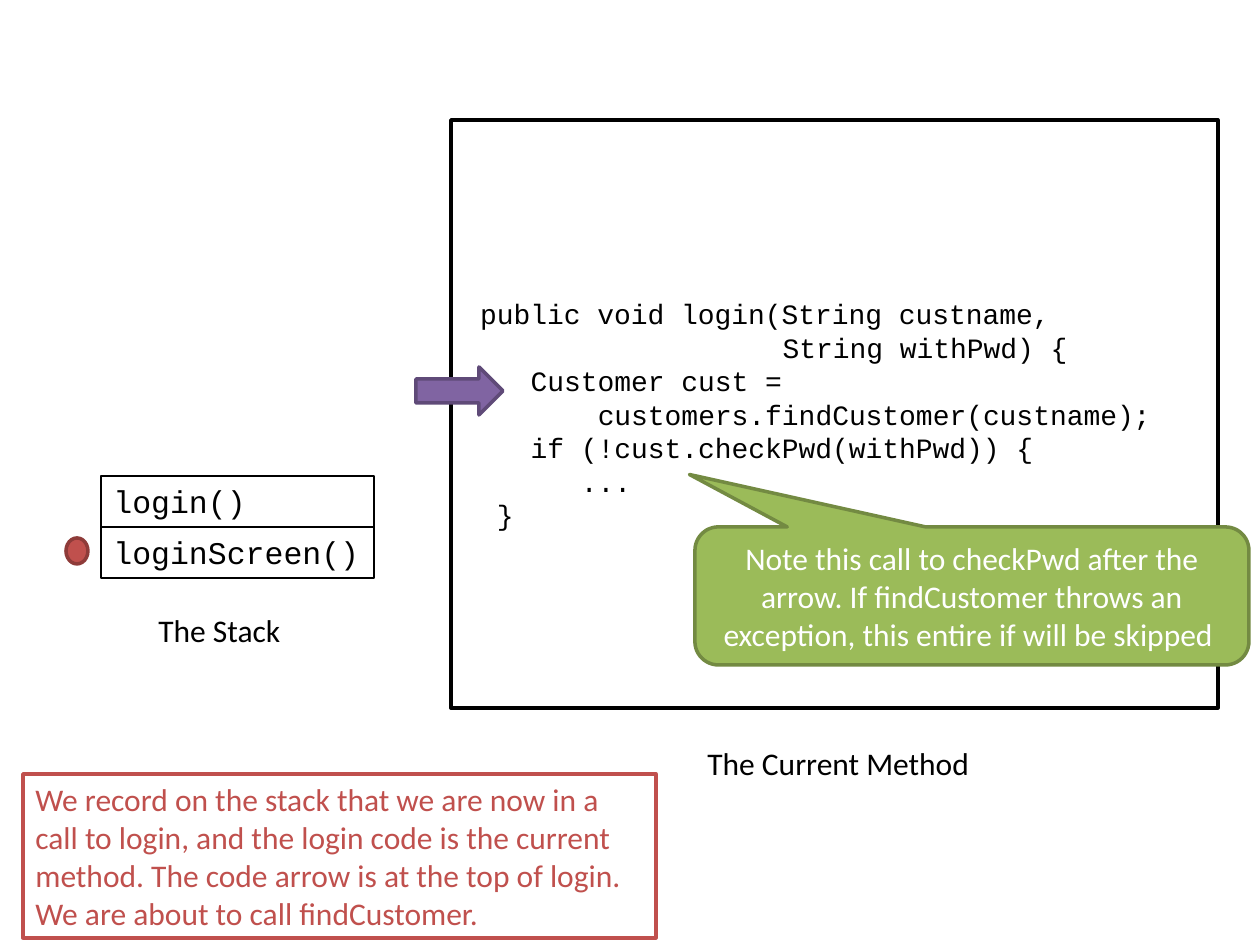
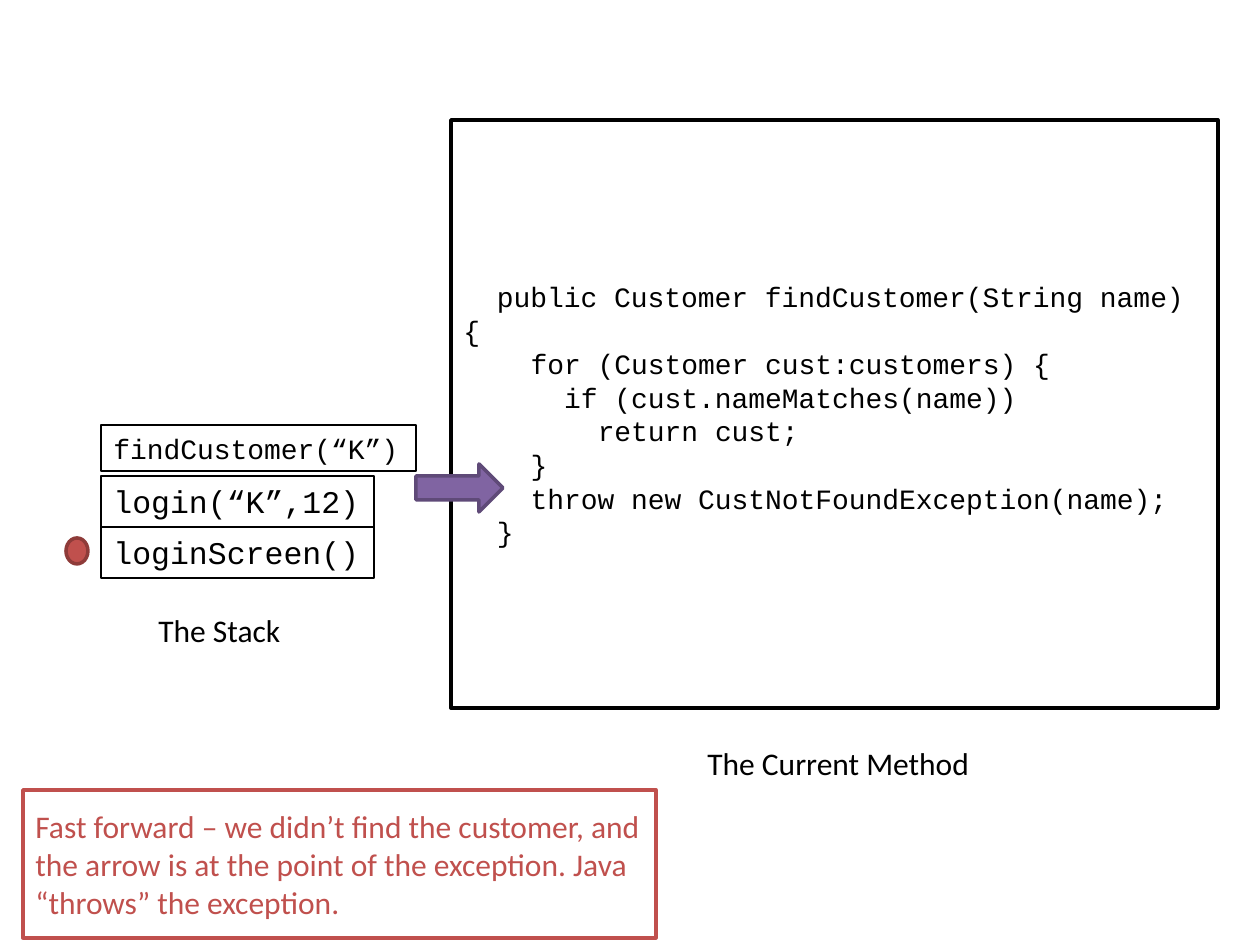
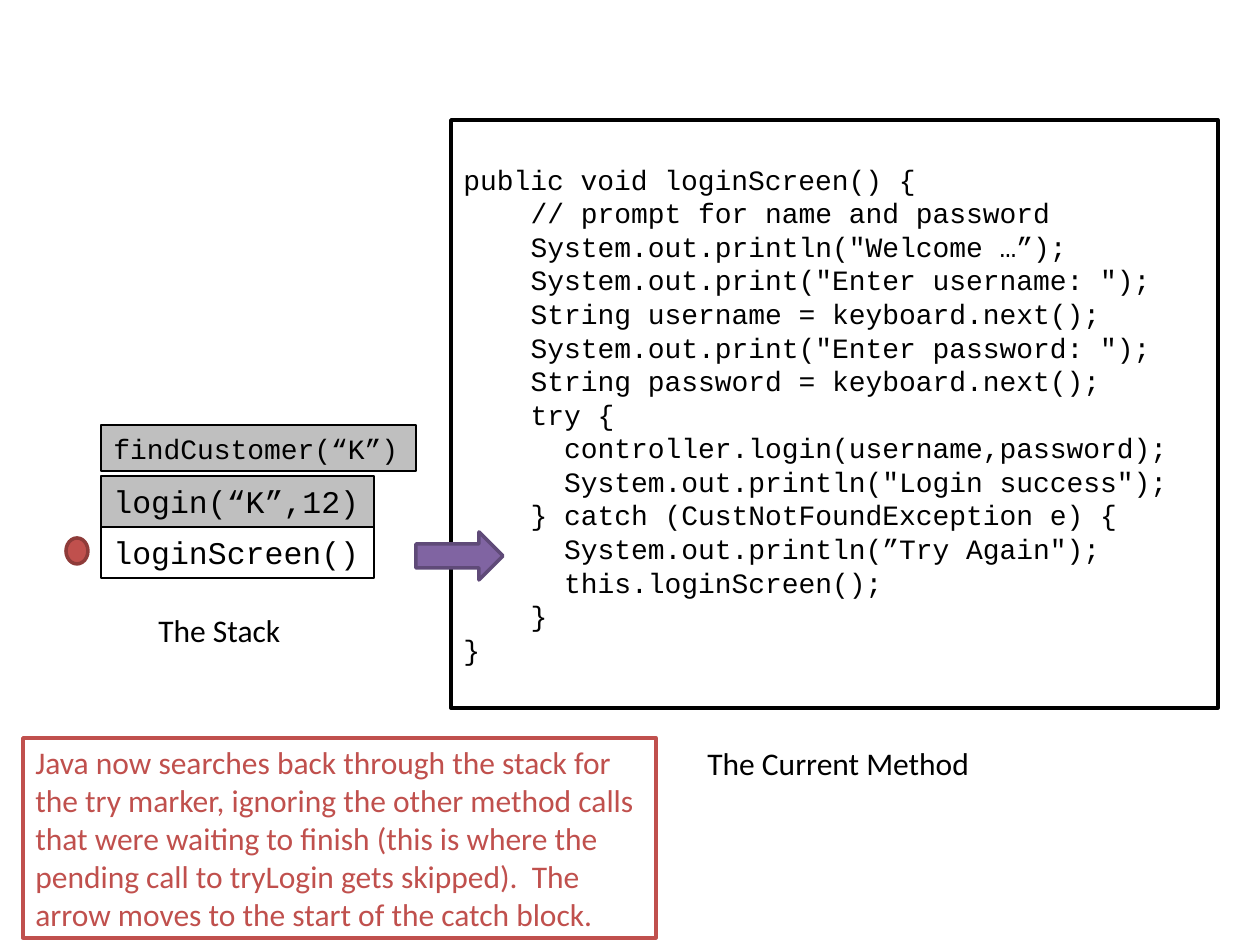
"""Build three slides that trace an exception through the call stack."""
import pptx
import pptx.dml.color
import pptx.enum.shapes
import pptx.enum.text
import pptx.util

SCALE = 914400 // 126
HUES = {
    "black": "000000", "white": "FFFFFF", "grey": "BFBFBF",
    "red": "C0504D", "wine": "8E3B39", "green": "9BBB59", "moss": "738A42",
    "mauve": "8064A2", "plum": "5F4A78",
}
SANS, MONO = "Calibri", "Courier New"
KINDS = pptx.enum.shapes.MSO_SHAPE
TOP = pptx.enum.text.MSO_ANCHOR.TOP
MID = pptx.enum.text.MSO_ANCHOR.MIDDLE
LEFT = pptx.enum.text.PP_ALIGN.LEFT
MIDDLE = pptx.enum.text.PP_ALIGN.CENTER

LABELS = [("The Stack", (146, 605, 149, 51)),
          ("The Current Method", (695, 738, 291, 51))]
FRAMES = [(273, 51, 18), (273, 51, 18), (315, 46, 16)]
BASE, STEP = 527, 51
FLOOR = 938

SLIDES = [
    {
        "stack": ["loginScreen()", "login()"],
        "dead": 0,
        "arrow": 367,
        "code": [
            " public void login(String custname,",
            "                   String withPwd) {",
            "    Customer cust =",
            "        customers.findCustomer(custname);",
            "    if (!cust.checkPwd(withPwd)) {",
            "       ...",
            "  }",
        ],
        "top": 774,
        "note": [
            "We record on the stack that we are now in a call to login, and the "
            "login code is the current method. The code arrow is at the top of login.",
            "We are about to call findCustomer.",
        ],
        "hint": "Note this call to checkPwd after the arrow. If findCustomer "
                "throws an exception, this entire if will be skipped ",
    },
    {
        "stack": ["loginScreen()", "login(“K”,12)", "findCustomer(“K”)"],
        "dead": 0,
        "arrow": 464,
        "code": [
            "  public Customer findCustomer(String name) {",
            "    for (Customer cust:customers) {",
            "      if (cust.nameMatches(name))",
            "        return cust;",
            "    }",
            "    throw new CustNotFoundException(name);",
            "  }",
        ],
        "top": 790,
        "note": [
            "Fast forward – we didn’t find the customer, and the arrow is at the "
            "point of the exception. Java “throws” the exception.",
        ],
    },
    {
        "stack": ["loginScreen()", "login(“K”,12)", "findCustomer(“K”)"],
        "dead": 2,
        "arrow": 532,
        "code": [
            "public void loginScreen() {",
            "    // prompt for name and password",
            "    System.out.println(\"Welcome …”);",
            "    System.out.print(\"Enter username: \");",
            "    String username = keyboard.next();",
            "    System.out.print(\"Enter password: \");",
            "    String password = keyboard.next();",
            "    try {",
            "      controller.login(username,password);",
            "      System.out.println(\"Login success\");",
            "    } catch (CustNotFoundException e) {",
            "      System.out.println(”Try Again\");",
            "      this.loginScreen();",
            "    }",
            "}",
        ],
        "top": 738,
        "note": [
            "Java now searches back through the stack for the try marker, ignoring "
            "the other method calls that were waiting to finish (this is where the "
            "pending call to tryLogin gets skipped).  The arrow moves to the start "
            "of the catch block.",
        ],
    },
]


def hue(name):
    return pptx.dml.color.RGBColor.from_string(HUES[name])


def emu(box):
    return [pptx.util.Emu(n * SCALE) for n in box]


def write(shape, lines, size=18, font=SANS, ink="black", align=LEFT):
    frame = shape.text_frame
    for i, line in enumerate(lines):
        para = frame.add_paragraph() if i else frame.paragraphs[0]
        text = line.lstrip()
        para.text = text
        para.alignment = align
        para.font.size = pptx.util.Pt(size)
        para.font.name = font
        para.font.color.rgb = hue(ink)
        inset = len(line) - len(text)
        if inset:
            props = para._p.get_or_add_pPr()
            props.set("marL", "0")
            props.set("indent", str(pptx.util.Pt(inset * size * 0.6)))


def draw(slide, kind, box, fill, edge, width=2, anchor=MID):
    shape = slide.shapes.add_shape(kind, *emu(box))
    shape.shadow.inherit = False
    if fill:
        shape.fill.solid()
        shape.fill.fore_color.rgb = hue(fill)
    else:
        shape.fill.background()
    shape.line.color.rgb = hue(edge)
    shape.line.width = pptx.util.Pt(width)
    shape.text_frame.word_wrap = True
    shape.text_frame.vertical_anchor = anchor
    return shape


def build(slide, data):
    for text, box in LABELS:
        write(slide.shapes.add_textbox(*emu(box)), [text])

    box = draw(slide, KINDS.RECTANGLE, (451, 120, 767, 588), "white", "black")
    write(box, data["code"], 16, MONO)
    draw(slide, KINDS.RIGHT_ARROW, (416, data["arrow"], 87, 48), "mauve", "plum")

    top = data["top"]
    box = draw(slide, KINDS.RECTANGLE, (23, top, 633, FLOOR - top), "white", "red")
    write(box, data["note"], ink="red")

    live = len(data["stack"]) - data["dead"]
    for i, (call, (width, height, size)) in enumerate(zip(data["stack"], FRAMES)):
        box = draw(slide, KINDS.RECTANGLE, (101, BASE - i * STEP, width, height),
                   None if i < live else "grey", "black", 0.75, TOP)
        write(box, [call], size, MONO)
    draw(slide, KINDS.OVAL, (66, 538, 22, 26), "red", "wine")

    if "hint" in data:
        box = draw(slide, KINDS.ROUNDED_RECTANGULAR_CALLOUT,
                   (695, 527, 554, 138), "green", "moss")
        for i, value in enumerate((-0.51, -0.88, 0.17)):
            box.adjustments[i] = value
        write(box, [data["hint"]], ink="white", align=MIDDLE)


deck = pptx.Presentation()
deck.slide_width, deck.slide_height = emu((1260, 945))
for data in SLIDES:
    build(deck.slides.add_slide(deck.slide_layouts[6]), data)
deck.save("out.pptx")
